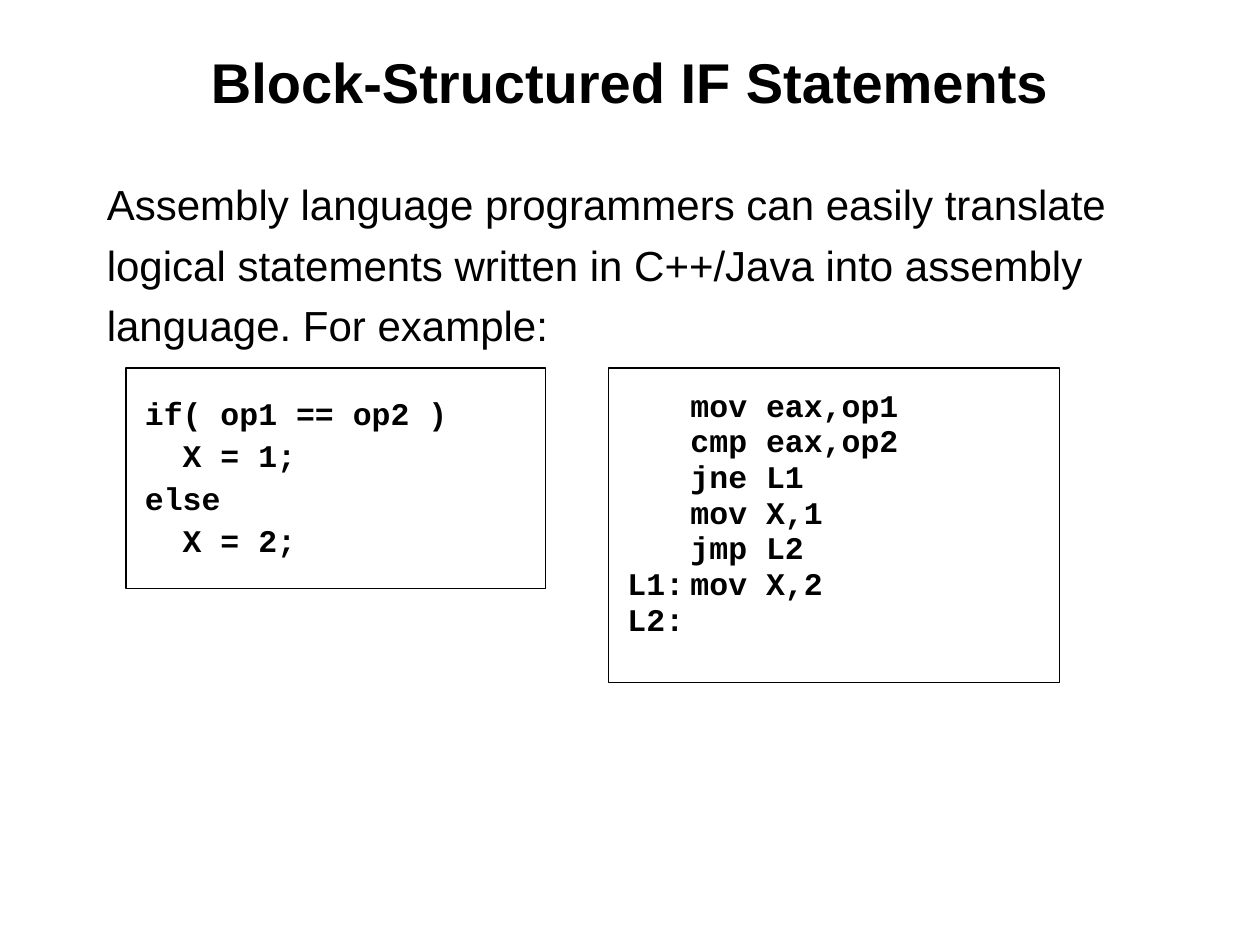
from dataclasses import dataclass

from lxml.etree import SubElement
from pptx import Presentation
from pptx.dml.color import RGBColor
from pptx.enum.shapes import MSO_SHAPE
from pptx.enum.text import MSO_ANCHOR, PP_ALIGN
from pptx.oxml.ns import qn
from pptx.util import Inches, Pt


@dataclass(frozen=True)
class Theme:
    ink: RGBColor = RGBColor(0, 0, 0)
    sans: str = "Arial"
    mono: str = "Courier New"
    title_size: int = 32
    body_size: int = 24
    code_size: int = 18
    border: float = 0.75


THEME = Theme()
CODE_INDENT = Inches(0.5)

IF_CODE = ["if( op1 == op2 )", "  X = 1;", "else", "  X = 2;"]
ASM_CODE = [
    "\tmov eax,op1",
    "\tcmp eax,op2",
    "\tjne L1",
    "\tmov X,1",
    "\tjmp L2",
    "L1:\tmov X,2",
    "L2:",
]


def style_font(p, name, size, bold=False):
    for r in p.runs:
        r.font.name = name
        r.font.size = Pt(size)
        r.font.bold = bold
        r.font.color.rgb = THEME.ink


def add_text(s, box, text, size, bold=False):
    tf = s.shapes.add_textbox(*map(Inches, box)).text_frame
    tf.word_wrap = True
    tf.text = text
    style_font(tf.paragraphs[0], THEME.sans, size, bold)
    return tf


def add_title(s, text):
    tf = add_text(s, (0.5, 0.17, 9, 0.95), text, THEME.title_size, bold=True)
    tf.vertical_anchor = MSO_ANCHOR.MIDDLE
    tf.paragraphs[0].alignment = PP_ALIGN.CENTER


def add_body(s, text):
    tf = add_text(s, (0.75, 1.25, 8.5, 1.42), text, THEME.body_size)
    tf.margin_top = Inches(0.09)
    tf.paragraphs[0].line_spacing = 1.2


def set_code_indent(p):
    pPr = p._p.get_or_add_pPr()
    if p.text.startswith("\t"):
        p.text = p.text.lstrip("\t")
        pPr.set("marL", str(CODE_INDENT))
        pPr.set("indent", "0")
    elif "\t" in p.text:
        tabs = SubElement(pPr, qn("a:tabLst"))
        SubElement(tabs, qn("a:tab"), pos=str(CODE_INDENT), algn="l")


def add_code(s, box, lines, top_inset, line_spacing, gap):
    sp = s.shapes.add_shape(MSO_SHAPE.RECTANGLE, *map(Inches, box))
    sp.shadow.inherit = False
    sp.fill.background()
    sp.line.color.rgb = THEME.ink
    sp.line.width = Pt(THEME.border)
    tf = sp.text_frame
    tf.word_wrap = True
    tf.vertical_anchor = MSO_ANCHOR.TOP
    tf.margin_left = tf.margin_right = Inches(0.15)
    tf.margin_top = Inches(top_inset)
    tf.margin_bottom = Inches(0.2)
    tf.text = "\n".join(lines)
    for i, p in enumerate(tf.paragraphs):
        set_code_indent(p)
        p.alignment = PP_ALIGN.LEFT
        p.line_spacing = line_spacing
        p.space_before = Pt(gap if i else 0)
        style_font(p, THEME.mono, THEME.code_size, bold=True)


def main():
    prs = Presentation()
    prs.slide_width, prs.slide_height = Inches(10), Inches(7.5)
    s = prs.slides.add_slide(prs.slide_layouts[6])
    add_title(s, "Block-Structured IF Statements")
    add_body(
        s,
        "Assembly language programmers can easily translate logical statements "
        "written in C++/Java into assembly language. For example:",
    )
    add_code(s, (4.83, 2.92, 3.58, 2.5), ASM_CODE, 0.27, 0.5, 9.6)
    add_code(s, (1, 2.92, 3.33, 1.75), IF_CODE, 0.24, 0.9, 4.8)
    prs.save("out.pptx")


if __name__ == "__main__":
    main()
